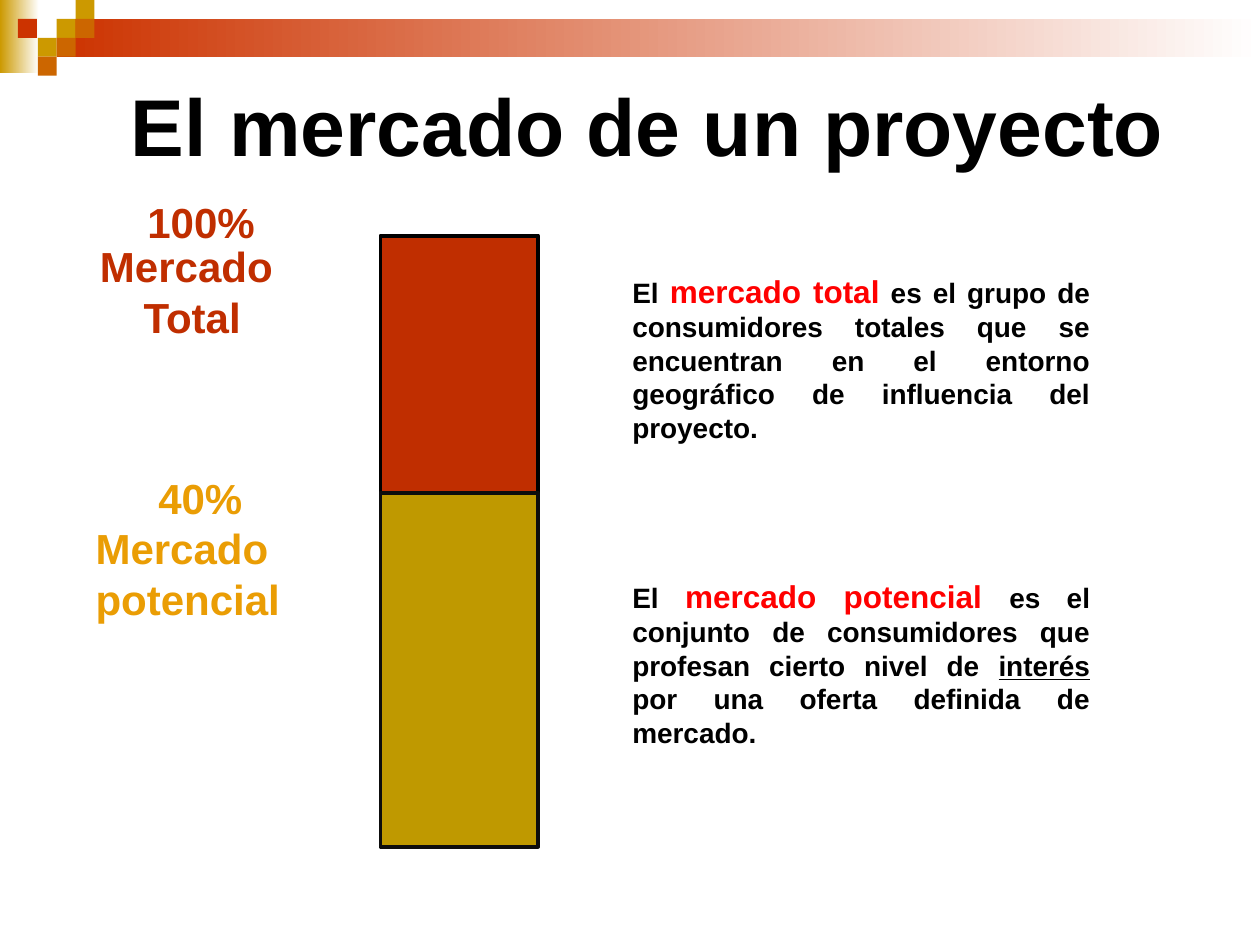
from dataclasses import dataclass

from pptx import Presentation
from pptx.dml.color import RGBColor
from pptx.enum.shapes import MSO_SHAPE
from pptx.enum.text import MSO_AUTO_SIZE, PP_ALIGN
from pptx.util import Inches, Pt

RECTANGLE = MSO_SHAPE.RECTANGLE
GROW = MSO_AUTO_SIZE.SHAPE_TO_FIT_TEXT
LEFT, CENTER, JUSTIFY = PP_ALIGN.LEFT, PP_ALIGN.CENTER, PP_ALIGN.JUSTIFY


@dataclass(frozen=True)
class Theme:
    font: str = "Arial"
    white: str = "FFFFFF"
    black: str = "000000"
    near_black: str = "0D0D0D"
    gold: str = "CC9900"
    orange: str = "CC6600"
    red: str = "CC3300"
    total: str = "C02E00"
    potential: str = "BF9900"
    potential_label: str = "EA9D04"
    highlight: str = "FF0000"
    title_size: int = 46
    label_size: int = 24
    term_size: int = 18
    body_size: int = 16
    outline: float = 2.25


class SlideBuilder:
    def __init__(self, slide, theme):
        self.slide = slide
        self.theme = theme

    def rectangle(self, box, fill, line=None):
        shape = self.slide.shapes.add_shape(RECTANGLE, *map(Inches, box))
        shape.shadow.inherit = False
        if line:
            shape.line.color.rgb = RGBColor.from_string(line)
            shape.line.width = Pt(self.theme.outline)
        else:
            shape.line.fill.background()
        shape.fill.solid()
        shape.fill.fore_color.rgb = RGBColor.from_string(fill)
        return shape

    def gradient(self, box, start):
        fill = self.rectangle(box, start).fill
        fill.gradient()
        fill.gradient_angle = 0
        for stop, position, color in zip(
            fill.gradient_stops, (0, 1), (start, self.theme.white)
        ):
            stop.position = position
            stop.color.rgb = RGBColor.from_string(color)

    def text(self, box, paragraphs, align=LEFT, wrap=True, inset=True):
        shape = self.slide.shapes.add_textbox(*map(Inches, box))
        frame = shape.text_frame
        settings = {"word_wrap": wrap, "auto_size": GROW}
        if not inset:
            sides = ("left", "top", "right", "bottom")
            settings.update({f"margin_{side}": 0 for side in sides})
        for name, value in settings.items():
            setattr(frame, name, value)
        for index, runs in enumerate(paragraphs):
            paragraph = frame.paragraphs[0] if index == 0 else frame.add_paragraph()
            paragraph.alignment = align
            for words, size, color, underline in runs:
                run = paragraph.add_run()
                run.text = words
                run.font.color.rgb = RGBColor.from_string(color)
                font_values = {
                    "name": self.theme.font,
                    "size": Pt(size),
                    "bold": True,
                    "underline": underline,
                }
                for name, value in font_values.items():
                    setattr(run.font, name, value)

    def label(self, box, lines, color, align=CENTER, wrap=True):
        size = self.theme.label_size
        paragraphs = [[(line, size, color, False)] for line in lines]
        self.text(box, paragraphs, align, wrap, inset=False)

    def definition(self, top, term, *parts):
        theme = self.theme
        runs = [
            ("El ", theme.body_size, theme.black, False),
            (term, theme.term_size, theme.highlight, False),
        ]
        for index, part in enumerate(parts):
            runs.append((part, theme.body_size, theme.black, index == 1))
        self.text((4.92, top, 3.83, 1.75), [runs], JUSTIFY)


def main():
    presentation = Presentation()
    presentation.slide_width = Inches(10)
    presentation.slide_height = Inches(7.5)
    slide = presentation.slides.add_slide(presentation.slide_layouts[6])
    theme = Theme()
    builder = SlideBuilder(slide, theme)

    builder.gradient((0, 0, 0.31, 0.58), theme.gold)
    builder.gradient((0.45, 0.15, 9.55, 0.3), theme.red)
    tile = 0.15
    tiles = (
        (3, 1, theme.gold),
        (4, 0, theme.gold),
        (4, 1, theme.orange),
        (2, 2, theme.gold),
        (0.95, 1, theme.red),
        (3, 2, theme.orange),
        (2, 3, theme.orange),
    )
    for column, row, color in tiles:
        builder.rectangle((column * tile, row * tile, tile, tile), color)

    builder.rectangle((3.02, 1.87, 1.25, 4.84), theme.total, theme.black)
    builder.rectangle((3.02, 3.91, 1.25, 2.81), theme.potential, theme.near_black)

    title = ("El mercado de un proyecto", theme.title_size, theme.black, False)
    builder.text((0.94, 0.55, 8.49, 0.88), [[title]], wrap=False)

    builder.label((1.17, 1.56, 0.86, 0.4), ["100%"], theme.total, LEFT, False)
    builder.label((0.55, 1.91, 1.95, 0.81), ["Mercado ", "Total"], theme.total)
    builder.label((1.15, 3.75, 0.88, 0.4), ["40%"], theme.potential_label)
    builder.label(
        (0.55, 4.15, 1.88, 0.81), ["Mercado ", "potencial"], theme.potential_label
    )

    builder.definition(
        2.11,
        "mercado total",
        " es el grupo de consumidores totales que se encuentran en el entorno "
        "geográfico de influencia del proyecto.",
    )
    builder.definition(
        4.53,
        "mercado potencial ",
        "es el conjunto de consumidores que profesan cierto nivel de ",
        "interés",
        " por una oferta definida de mercado.",
    )
    presentation.save("out.pptx")


if __name__ == "__main__":
    main()
